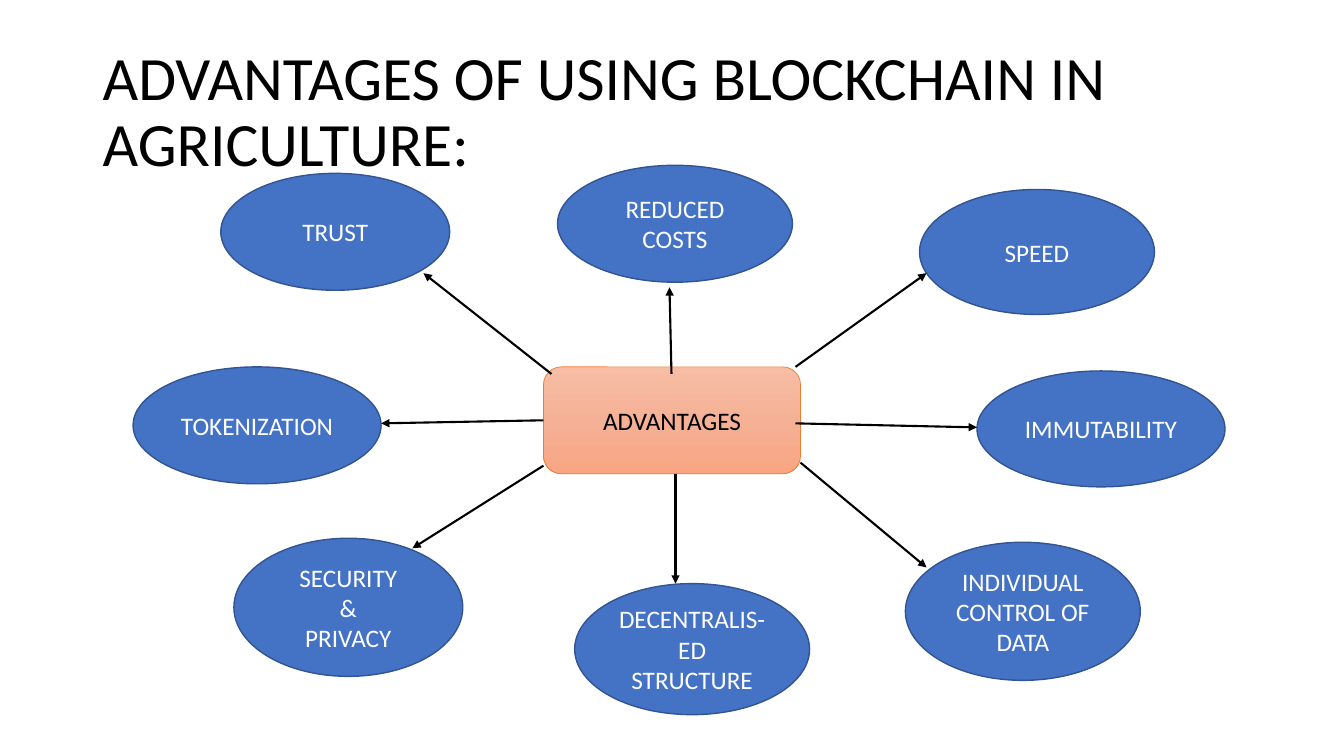
from copy import deepcopy
from pptx import Presentation
from pptx.dml.color import RGBColor
from pptx.enum.shapes import MSO_CONNECTOR, MSO_SHAPE
from pptx.enum.text import MSO_ANCHOR, PP_ALIGN
from pptx.oxml.ns import qn
from pptx.oxml.xmlchemy import OxmlElement
from pptx.util import Inches, Pt

COLORS = {
    "black": "000000", "white": "FFFFFF", "blue": "4472C4", "navy": "325491",
    "orange": "ED7D31", "pale": "F7BDA5", "peach": "F5B196", "coral": "F8A582",
}
BUBBLES = [
    ("TOKENIZATION", 1.32, 3.64, 2.46, 1.16),
    ("DECENTRALIS-ED STRUCTURE", 5.7, 5.79, 2.33, 1.3),
    ("IMMUTABILITY", 9.69, 3.68, 2.46, 1.15),
    ("REDUCED\nCOSTS", 5.53, 1.64, 2.33, 1.16),
    ("SECURITY\n&\nPRIVACY", 2.32, 5.34, 2.27, 1.37),
    ("INDIVIDUAL\nCONTROL OF\nDATA", 8.98, 5.38, 2.33, 1.37),
    ("TRUST", 2.19, 1.72, 2.27, 1.16),
    ("SPEED", 9.12, 1.88, 2.33, 1.24),
]
ARROWS = [
    (5.47, 3.71, 4.2, 2.71), (7.89, 4.2, 9.69, 4.24),
    (6.7, 4.7, 6.7, 5.79), (7.94, 4.59, 9.19, 5.63),
    (5.39, 4.62, 4.09, 5.44), (5.39, 4.17, 3.78, 4.2),
    (7.89, 3.64, 9.19, 2.71), (6.66, 3.71, 6.64, 2.85),
]


def color(name):
    return RGBColor.from_string(COLORS[name])


def apply(target, values):
    for name, value in values.items():
        setattr(target, name, value)


class Board:
    """Draws styled elements on the current slide."""

    frame = {"word_wrap": True, "vertical_anchor": MSO_ANCHOR.MIDDLE}
    font = {"name": "Calibri", "size": Pt(18)}
    centre = {"alignment": PP_ALIGN.CENTER}

    def __init__(self, slide):
        self.slide = slide

    def label(self, shape, text, ink, layout, **extra):
        frame = shape.text_frame
        apply(frame, self.frame)
        frame.text = text
        for para in frame.paragraphs:
            apply(para, layout)
            for run in para.runs:
                apply(run.font, {**self.font, **extra})
                run.font.color.rgb = color(ink)

    def title(self, text, *place):
        box = self.slide.shapes.add_textbox(*map(Inches, place))
        self.label(box, text, "black", {"line_spacing": 0.9}, size=Pt(44))

    def shape(self, kind, text, place, ink, edge, width):
        shape = self.slide.shapes.add_shape(kind, *map(Inches, place))
        shape.shadow.inherit = False
        shape.line.color.rgb = color(edge)
        shape.line.width = Pt(width)
        self.label(shape, text, ink, self.centre)
        return shape

    def hub(self, text, *place):
        shape = self.shape(MSO_SHAPE.ROUNDED_RECTANGLE, text, place, "black", "orange", 0.5)
        fill = shape.fill
        fill.gradient()
        fill.gradient_angle = 270
        stops = shape.element.spPr.find(".//" + qn("a:gsLst"))
        stops.insert(1, deepcopy(stops[0]))
        for stop, name, spot in zip(fill.gradient_stops, ("pale", "peach", "coral"), (0, 0.5, 1)):
            stop.color.rgb = color(name)
            stop.position = spot

    def bubble(self, text, *place):
        shape = self.shape(MSO_SHAPE.OVAL, text, place, "white", "navy", 1)
        shape.fill.solid()
        shape.fill.fore_color.rgb = color("blue")

    def arrow(self, *ends):
        link = self.slide.shapes.add_connector(MSO_CONNECTOR.STRAIGHT, *map(Inches, ends))
        link.line.color.rgb = color("black")
        link.line.width = Pt(1.5)
        tip = OxmlElement("a:tailEnd")
        tip.set("type", "triangle")
        props = link.element.spPr
        props.find(qn("a:ln")).append(tip)
        props.append(OxmlElement("a:effectLst"))


def main():
    deck = Presentation()
    apply(deck, {"slide_width": Inches(13.33), "slide_height": Inches(7.5)})
    board = Board(deck.slides.add_slide(deck.slide_layouts[6]))
    board.title("ADVANTAGES OF USING BLOCKCHAIN IN AGRICULTURE:", 0.92, 0.4, 11.5, 1.45)
    board.hub("ADVANTAGES", 5.39, 3.64, 2.55, 1.06)
    for bubble in BUBBLES:
        board.bubble(*bubble)
    for ends in ARROWS:
        board.arrow(*ends)
    deck.save("out.pptx")


if __name__ == "__main__":
    main()
